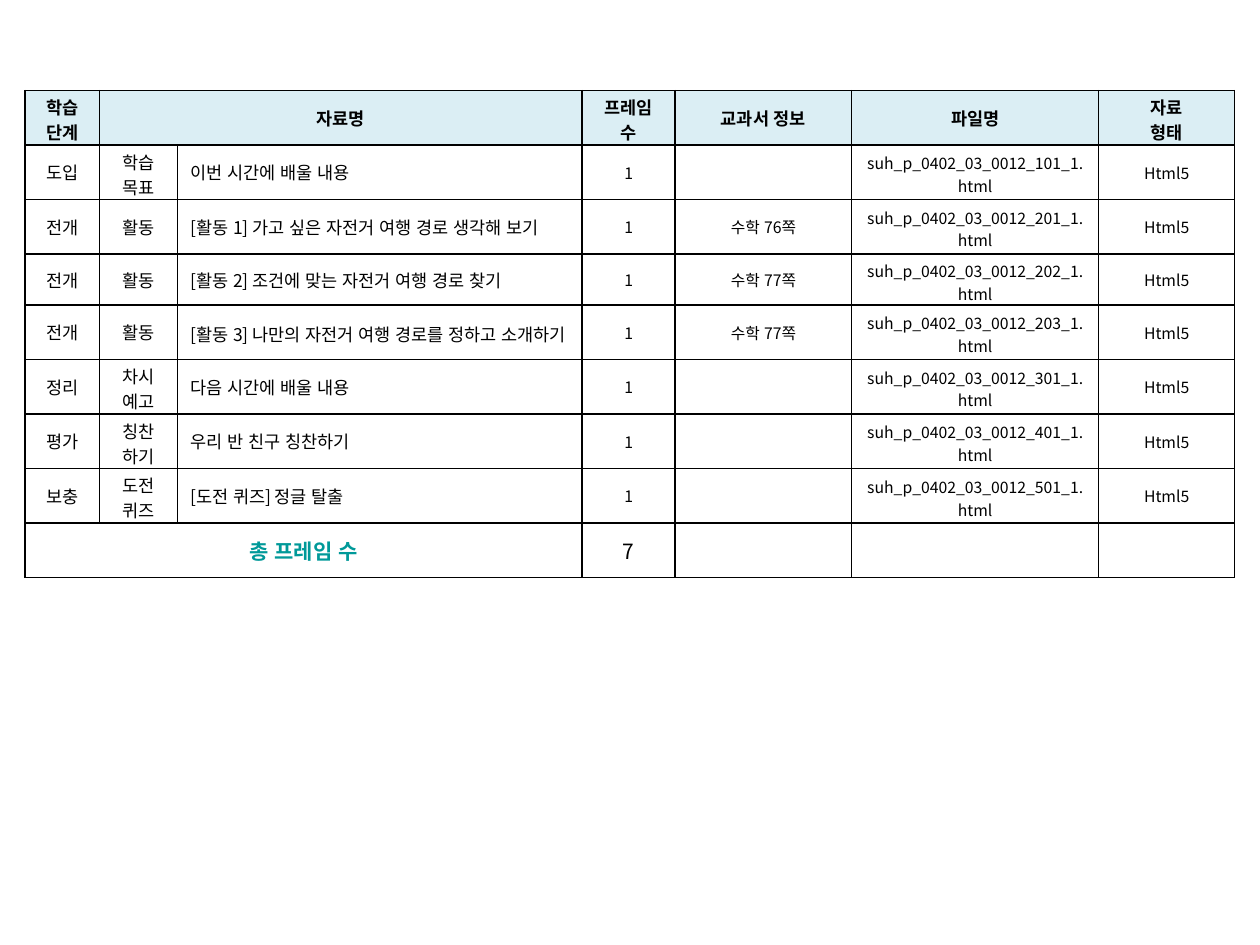
from lxml.etree import SubElement
from pptx import Presentation
from pptx.dml.color import RGBColor
from pptx.enum.lang import MSO_LANGUAGE_ID
from pptx.enum.text import MSO_ANCHOR, PP_ALIGN
from pptx.oxml.ns import qn
from pptx.util import Inches, Pt

FONT = "Noto Sans CJK KR"
INSET = 0.05
LINE_HEIGHT_PER_POINT = 0.02
COLUMN_WIDTHS = [0.59, 0.62, 3.21, 0.74, 1.4, 1.96, 1.08]
LINE_CAPACITIES = [2, 2, 29, 3, 9, 27, 5]
ROW_HEIGHTS = [0.43, 0.43, 0.43, 0.4, 0.43, 0.43, 0.43, 0.43, 0.43]
HEADINGS = ["학습 단계", "자료명", "", "프레임 수", "교과서 정보", "파일명", "자료\n형태"]
LESSONS = [
    ("도입", "학습 목표", "이번 시간에 배울 내용", "", 101),
    ("전개", "활동", "[활동 1] 가고 싶은 자전거 여행 경로 생각해 보기", "수학 76쪽", 201),
    ("전개", "활동", "[활동 2] 조건에 맞는 자전거 여행 경로 찾기", "수학 77쪽", 202),
    ("전개", "활동", "[활동 3] 나만의 자전거 여행 경로를 정하고 소개하기", "수학 77쪽", 203),
    ("정리", "차시 예고", "다음 시간에 배울 내용", "", 301),
    ("평가", "칭찬\n하기", "우리 반 친구 칭찬하기", "", 401),
    ("보충", "도전 퀴즈", "[도전 퀴즈] 정글 탈출", "", 501),
]
TOTALS = ["총 프레임 수", "", "", str(len(LESSONS)), "", "", ""]


def color(value):
    return RGBColor.from_string(value)


def write(cell, text, size=10, bold=False, ink="000000", align=PP_ALIGN.CENTER):
    cell.vertical_anchor = MSO_ANCHOR.MIDDLE
    cell.text = text
    for paragraph in cell.text_frame.paragraphs:
        paragraph.alignment = align
        for run in paragraph.runs:
            font = run.font
            font.name, font.size, font.bold = FONT, Pt(size), bold
            font.color.rgb = color(ink)
            font.language_id = MSO_LANGUAGE_ID.KOREAN
            SubElement(font._element, qn("a:ea"), typeface=FONT)
        if not paragraph.runs:
            SubElement(paragraph._p, qn("a:endParaRPr"), sz=str(size * 100))


def fit_two_lines(cell, row_height, size):
    spare = row_height - 2 * size * LINE_HEIGHT_PER_POINT
    top = min(INSET, spare)
    cell.margin_top, cell.margin_bottom = Inches(top), Inches(spare - top)


def outline(cell):
    properties = cell._tc.get_or_add_tcPr()
    for position, side in enumerate(("lnL", "lnR", "lnT", "lnB")):
        line = SubElement(properties, qn(f"a:{side}"), w=str(Pt(1)))
        SubElement(SubElement(line, qn("a:solidFill")), qn("a:srgbClr"), val="000000")
        properties.insert(position, line)


def cell_format(row, column):
    if row == 0:
        return {"bold": True}
    if row == len(ROW_HEIGHTS) - 1:
        return {"size": 12, "bold": True, "ink": "009999"} if column == 0 else {"size": 12}
    if column == 2:
        return {"align": PP_ALIGN.LEFT}
    return {"size": 10 if column < 2 else 9}


def main():
    presentation = Presentation()
    presentation.slide_width, presentation.slide_height = Inches(10), Inches(7.5)
    slide = presentation.slides.add_slide(presentation.slide_layouts[6])
    lesson_rows = [
        (stage, step, title, "1", pages, f"suh_p_0402_03_0012_{number}_1.html", "Html5")
        for stage, step, title, pages, number in LESSONS
    ]
    contents = [HEADINGS, *lesson_rows, TOTALS]
    table = slide.shapes.add_table(
        len(contents), len(COLUMN_WIDTHS), Inches(0.2), Inches(0.72),
        Inches(sum(COLUMN_WIDTHS)), Inches(sum(ROW_HEIGHTS)),
    ).table
    for column, width in zip(table.columns, COLUMN_WIDTHS):
        column.width = Inches(width)
    for row, height in zip(table.rows, ROW_HEIGHTS):
        row.height = Inches(height)
    last = len(contents) - 1
    table.cell(0, 1).merge(table.cell(0, 2))
    table.cell(last, 0).merge(table.cell(last, 2))

    for row, texts in enumerate(contents):
        for column, text in enumerate(texts):
            cell = table.cell(row, column)
            text_format = cell_format(row, column)
            write(cell, text, **text_format)
            wraps = "\n" in text or len(text) > LINE_CAPACITIES[column]
            if wraps and not cell.is_merge_origin:
                fit_two_lines(cell, ROW_HEIGHTS[row], text_format.get("size", 10))
            cell.fill.solid()
            cell.fill.fore_color.rgb = color("DBEEF4" if row == 0 else "FFFFFF")
            outline(cell)
    presentation.save("out.pptx")


if __name__ == "__main__":
    main()
